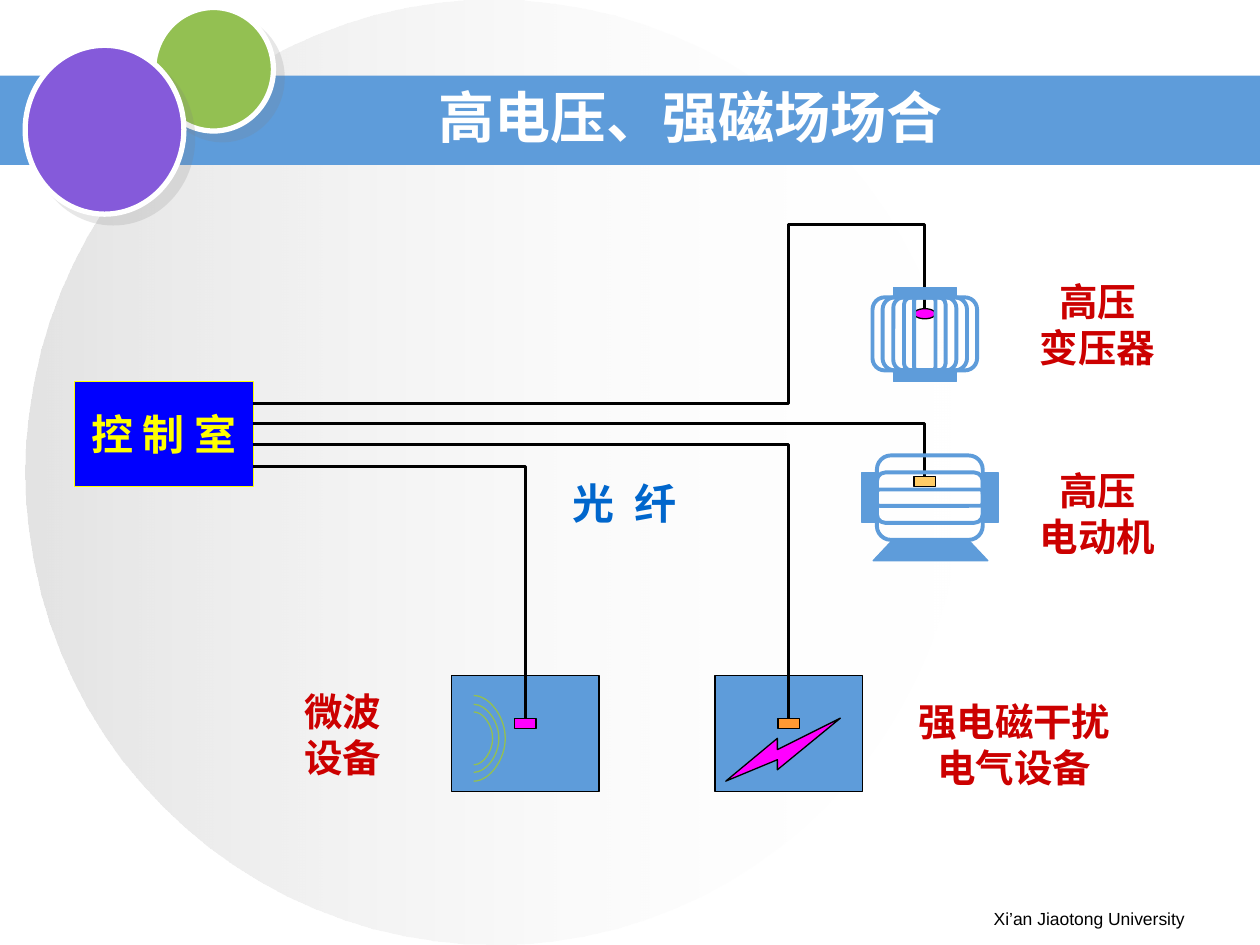
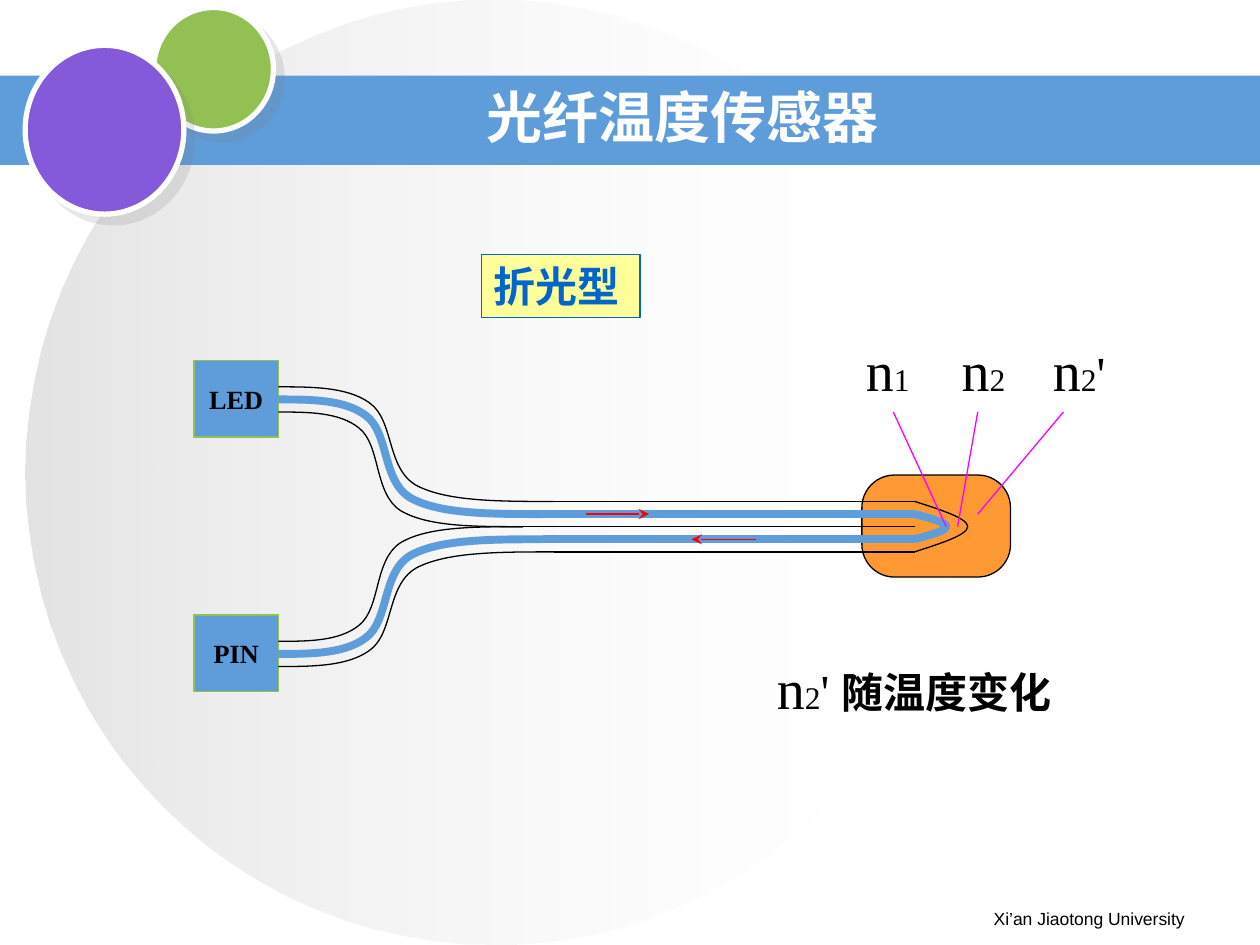
from lxml import etree
from pptx import Presentation
from pptx import util as u
from pptx.dml.color import RGBColor
from pptx.enum import shapes, text
from pptx.oxml.ns import qn

BLUE = RGBColor(0x5E, 0x9C, 0xDA)
GREEN = RGBColor(0x93, 0xC0, 0x52)
PURPLE = RGBColor(0x85, 0x5A, 0xDA)
SILVER = RGBColor(0xC0, 0xC0, 0xC0)
WHITE = RGBColor(0xFF, 0xFF, 0xFF)
BLACK = RGBColor(0, 0, 0)
ROOM_BLUE = RGBColor(0, 0, 0xFF)
INK_BLUE = RGBColor(0, 0x66, 0xCC)
YELLOW = RGBColor(0xFF, 0xFF, 0)
PALE_YELLOW = RGBColor(0xFF, 0xFF, 0x99)
MAGENTA = RGBColor(0xFF, 0, 0xFF)
ORANGE = RGBColor(0xFF, 0x99, 0x33)
SAND = RGBColor(0xFF, 0xCC, 0x66)
RED = RGBColor(0xFF, 0, 0)
DARK_RED = RGBColor(0xCC, 0, 0)

SANS, SERIF = "Arial", "Times New Roman"
RECT = shapes.MSO_SHAPE.RECTANGLE
ROUND = shapes.MSO_SHAPE.ROUNDED_RECTANGLE
OVAL = shapes.MSO_SHAPE.OVAL
LEFT, CENTER, RIGHT = text.PP_ALIGN.LEFT, text.PP_ALIGN.CENTER, text.PP_ALIGN.RIGHT
TOP, MIDDLE = text.MSO_ANCHOR.TOP, text.MSO_ANCHOR.MIDDLE

# Control points of a fibre bend, as shares of its width and height
S_BEND = [(0, 0), (.12, 0), (.25, 0), (.33, .14), (.42, .29), (.39, .71),
          (.5, .86), (.61, 1), (.8, 1), (1, 1)]


def write(frame, content, size=24, color=BLACK, bold=False, font=SERIF,
          align=CENTER, anchor=MIDDLE, inset=(0, 0), spacing=0):
    """Fill a frame with lines of text, or with one line of (text, size) runs."""
    frame.word_wrap = True
    frame.auto_size = text.MSO_AUTO_SIZE.NONE
    frame.vertical_anchor = anchor
    frame.margin_left = frame.margin_right = u.Inches(inset[0])
    frame.margin_top = frame.margin_bottom = u.Inches(inset[1])
    if isinstance(content, str):
        lines = [[(line, size)] for line in content.split("\n")]
    else:
        lines = [content]
    for i, runs in enumerate(lines):
        paragraph = frame.add_paragraph() if i else frame.paragraphs[0]
        paragraph.alignment = align
        for words, points in runs:
            run = paragraph.add_run()
            run.text = words
            run.font.name = font
            run.font.size = u.Pt(points)
            run.font.bold = bold
            run.font.color.rgb = color
            if spacing:
                run.font._element.set("spc", str(spacing * 100))


class Deck:
    def __init__(self):
        self.prs = Presentation()
        self.prs.slide_width, self.prs.slide_height = u.Inches(10), u.Inches(7.5)
        self.layout = self.prs.slide_layouts[5]
        self.slide = None

    def new_slide(self, heading, right_margin):
        self.slide = self.prs.slides.add_slide(self.layout)
        if len(self.prs.slides) == 1:
            self.dress_layout()
        title = self.slide.shapes.title
        title.left, title.top = u.Inches(2.25), u.Inches(.66)
        title.width, title.height = u.Inches(6.58), u.Inches(.53)
        write(title.text_frame, heading, size=32, color=WHITE, bold=True, font=SANS)
        title.text_frame.margin_right = u.Inches(right_margin)
        self.label(7.17, 7.16, 2.33, .27, "Xi’an Jiaotong University", size=10,
                   font=SANS, align=RIGHT, anchor=TOP, inset=(.1, .05))

    def dress_layout(self):
        """Draw the backdrop and hand it to the layout that all slides use."""
        disc = self.shape(OVAL, .2, 0, 7.44, 7.5)
        disc.fill.gradient()
        disc.fill.gradient_angle = 180
        for stop, color in zip(disc.fill.gradient_stops, (WHITE, SILVER)):
            stop.color.rgb = color
        opacities = (0, 44)
        for node, share in zip(disc._element.spPr.iter(qn("a:srgbClr")), opacities):
            etree.SubElement(node, qn("a:alpha"), val=str(share * 1000))
        band = self.shape(RECT, 0, .6, 10, .71, fill=BLUE)
        balls = [self.shape(OVAL, *box, fill=color, line=WHITE, weight=3)
                 for box, color in (((1.22, .06, .95, .98), GREEN),
                                    ((.2, .36, 1.26, 1.34), PURPLE))]
        for ball in balls:
            effects = ball._element.spPr.find(qn("a:effectLst"))
            shadow = etree.SubElement(effects, qn("a:outerShdw"), blurRad="0",
                                      dist=str(u.Pt(7.1)), dir=str(45 * 60000),
                                      algn="ctr", rotWithShape="0")
            tint = etree.SubElement(shadow, qn("a:srgbClr"), val="808080")
            etree.SubElement(tint, qn("a:alpha"), val="19000")
        for number, part in enumerate([disc, band, *balls], start=100):
            part._element.nvSpPr.cNvPr.set("id", str(number))
            self.layout.shapes._spTree.insert_element_before(part._element, "p:extLst")

    def paint(self, shape, fill, line, weight):
        shape.shadow.inherit = False
        if fill is None:
            shape.fill.background()
        else:
            shape.fill.solid()
            shape.fill.fore_color.rgb = fill
        if line is None:
            shape.line.fill.background()
        else:
            shape.line.color.rgb = line
            shape.line.width = u.Pt(weight)
        return shape

    def shape(self, kind, x, y, w, h, fill=None, line=None, weight=.75):
        new = self.slide.shapes.add_shape(kind, *map(u.Inches, (x, y, w, h)))
        return self.paint(new, fill, line, weight)

    def centred(self, kind, cx, cy, w, h, **look):
        return self.shape(kind, cx - w / 2, cy - h / 2, w, h, **look)

    def outline(self, points, fill=None, line=BLACK, weight=.75, close=False):
        start, *rest = [(u.Inches(x), u.Inches(y)) for x, y in points]
        builder = self.slide.shapes.build_freeform(*start)
        builder.add_line_segments(rest, close=close)
        return self.paint(builder.convert_to_shape(), fill, line, weight)

    def curve(self, controls, **look):
        """Joined cubic curves: every three segments become one curve."""
        drawn = self.outline(controls, **look)
        contour = next(drawn._element.spPr.iter(qn("a:path")))
        segments = contour.findall(qn("a:lnTo"))
        for i in range(0, len(segments), 3):
            cubic = etree.SubElement(contour, qn("a:cubicBezTo"))
            for segment in segments[i:i + 3]:
                cubic.append(segment[0])
                contour.remove(segment)

    def bulge(self, x, y, reach, half, lean, **look):
        """A curve bowed to the right, even above and below y."""
        upper = [(x, -half), (x + reach / 2, -2 * lean * half),
                 (x + reach, -lean * half)]
        lower = [(px, -py) for px, py in reversed(upper)]
        controls = upper + [(x + reach, 0)] + lower
        self.curve([(px, y + py) for px, py in controls], **look)

    def straight(self, start, end, color=BLACK, weight=.75, arrow=False):
        line = self.slide.shapes.add_connector(
            shapes.MSO_CONNECTOR.STRAIGHT, *map(u.Inches, (*start, *end)))
        line.line.color.rgb = color
        line.line.width = u.Pt(weight)
        if arrow:
            etree.SubElement(line.line._get_or_add_ln(), qn("a:tailEnd"), type="stealth")
        etree.SubElement(line._element.spPr, qn("a:effectLst"))

    def label(self, x, y, w, h, content, **format):
        box = self.slide.shapes.add_textbox(*map(u.Inches, (x, y, w, h)))
        write(box.text_frame, content, **format)


def high_voltage_slide(deck):
    deck.new_slide("高电压、强磁场场合", right_margin=.12)
    microwave_x, interference_x, machine_x = 4.17, 6.26, 7.34

    # Devices at the bottom and the control room
    for x in (microwave_x, interference_x):
        deck.centred(RECT, x, 5.82, 1.17, .92, fill=BLUE, line=BLACK)
    room_right = 2.01
    room = deck.shape(RECT, .59, 3.03, 1.42, .83, fill=ROOM_BLUE, line=YELLOW)
    write(room.text_frame, "控 制 室", color=YELLOW, bold=True)

    # Fibres, from the control room to each sensor
    routes = [
        [(machine_x, 3.36), (machine_x, 3.78)],
        [(interference_x, 3.2), (interference_x, 1.78), (machine_x, 1.78),
         (machine_x, 2.45)],
        [(interference_x, 3.53), (interference_x, 5.78)],
        [(microwave_x, 3.7), (microwave_x, 5.78)],
    ]
    for route in routes:
        deck.outline([(room_right, route[0][1])] + route, weight=1.5)

    # Sensors
    for kind, x, y, color in ((RECT, microwave_x, 5.74, MAGENTA),
                              (RECT, interference_x, 5.74, ORANGE),
                              (RECT, machine_x, 3.82, SAND),
                              (OVAL, machine_x, 2.49, MAGENTA)):
        deck.centred(kind, x, y, .17, .08, fill=color, line=BLACK)

    # Transformer
    for width in (.83, .67, .5, .33, .17):
        deck.centred(ROUND, machine_x, 2.65, width, .58, line=BLUE, weight=2.25)
    for y in (2.32, 2.99):
        deck.centred(RECT, machine_x, y, .5, .08, fill=BLUE, line=BLUE)

    # Motor
    motor_x, motor_y = 7.38, 3.95
    for height in (.67, .4, .13):
        deck.centred(ROUND, motor_x, motor_y, .84, height, line=BLUE, weight=2.25)
    for side in (-1, 1):
        deck.centred(RECT, motor_x + side * .48, motor_y, .12, .4, fill=BLUE, line=BLUE)
    deck.outline([(7.09, 4.28), (6.93, 4.45), (7.84, 4.45), (7.68, 4.28)],
                 fill=BLUE, line=BLUE)

    # Interference bolt and microwaves
    deck.outline([(5.76, 6.2), (6.17, 5.86), (6.17, 5.95), (6.67, 5.7),
                  (6.17, 6.11), (6.17, 6.03)], fill=MAGENTA, close=True)
    for reach, half in ((.15, .21), (.2, .27), (.25, .34)):
        deck.bulge(3.76, 5.86, reach, half, lean=.5, line=GREEN)

    # Labels
    deck.label(4.42, 3.7, 1.08, .58, "光 纤", color=INK_BLUE, bold=True, spacing=3)
    for box, name in (((8.17, 2.2, 1.08, .75), "高压\n变压器"),
                      ((8.17, 3.7, 1.08, .75), "高压\n电动机"),
                      ((7.26, 5.53, 1.58, .75), "强电磁干扰电气设备"),
                      ((2.26, 5.45, .92, .75), "微波\n设备")):
        deck.label(*box, name, size=22, color=DARK_RED, bold=True)


def temperature_sensor_slide(deck):
    deck.new_slide("光纤温度传感器", right_margin=.25)
    axis, port_x, tip_x = 4.18, 2.21, 7.26
    bend_height = .91

    # Medium, light source and detector
    medium = deck.shape(ROUND, 6.84, 3.77, 1.18, .81, fill=ORANGE, line=BLACK)
    medium.adjustments[0] = .32
    for y, name in ((2.86, "LED"), (4.88, "PIN")):
        port = deck.shape(RECT, 1.54, y, .67, .61, fill=BLUE, line=GREEN)
        write(port.text_frame, name, size=15, bold=True)

    # Fibres: two branches mirrored about the axis, each wall or core a track
    for offset, bend_width, color, weight in ((0, 1.94, BLACK, .75),
                                              (.2, 2.19, BLACK, .75),
                                              (.1, 2.1, BLUE, 4.5)):
        look = dict(line=color, weight=weight)
        for side in (-1, 1):
            track_y = axis + side * offset
            deck.curve([(port_x + fx * bend_width,
                         track_y + side * (1 - fy) * bend_height)
                        for fx, fy in S_BEND], **look)
            if offset or side == 1:
                deck.straight((port_x + bend_width, track_y), (tip_x, track_y),
                              color, weight)
        if offset:
            deck.bulge(tip_x, axis, .42 if color == BLACK else .25, offset,
                       lean=.33, **look)

    # Direction of the light
    deck.straight((4.65, 4.08), (5.15, 4.08), RED, arrow=True)
    deck.straight((6, 4.28), (5.49, 4.28), RED, arrow=True)

    # Refractive indices with their leaders
    n1 = [("n", 32), ("1", 18)]
    n2 = [("n", 32), ("2", 18)]
    n2_prime = n2 + [("'", 28)]
    for x, index in ((6.75, n1), (7.51, n2), (8.27, n2_prime)):
        deck.label(x, 2.66, .59, .51, index, anchor=TOP)
    for inside, x in (((7.51, 4.18), 7.09), ((7.6, 4.18), 7.76), ((7.76, 4.08), 8.44)):
        deck.straight(inside, (x, 3.27), MAGENTA)

    # Remark and type of sensor
    deck.label(6.59, 5.29, 1.85, .51, "随温度变化", bold=True, anchor=TOP)
    deck.label(6.08, 5.19, .59, .51, n2_prime, anchor=TOP)
    kind = deck.shape(RECT, 3.82, 2.02, 1.26, .5, fill=PALE_YELLOW, line=INK_BLUE)
    write(kind.text_frame, "折光型", color=INK_BLUE, bold=True, font=SANS,
          align=LEFT, inset=(.1, .05))


def main():
    deck = Deck()
    high_voltage_slide(deck)
    temperature_sensor_slide(deck)
    deck.prs.save("out.pptx")


if __name__ == "__main__":
    main()
